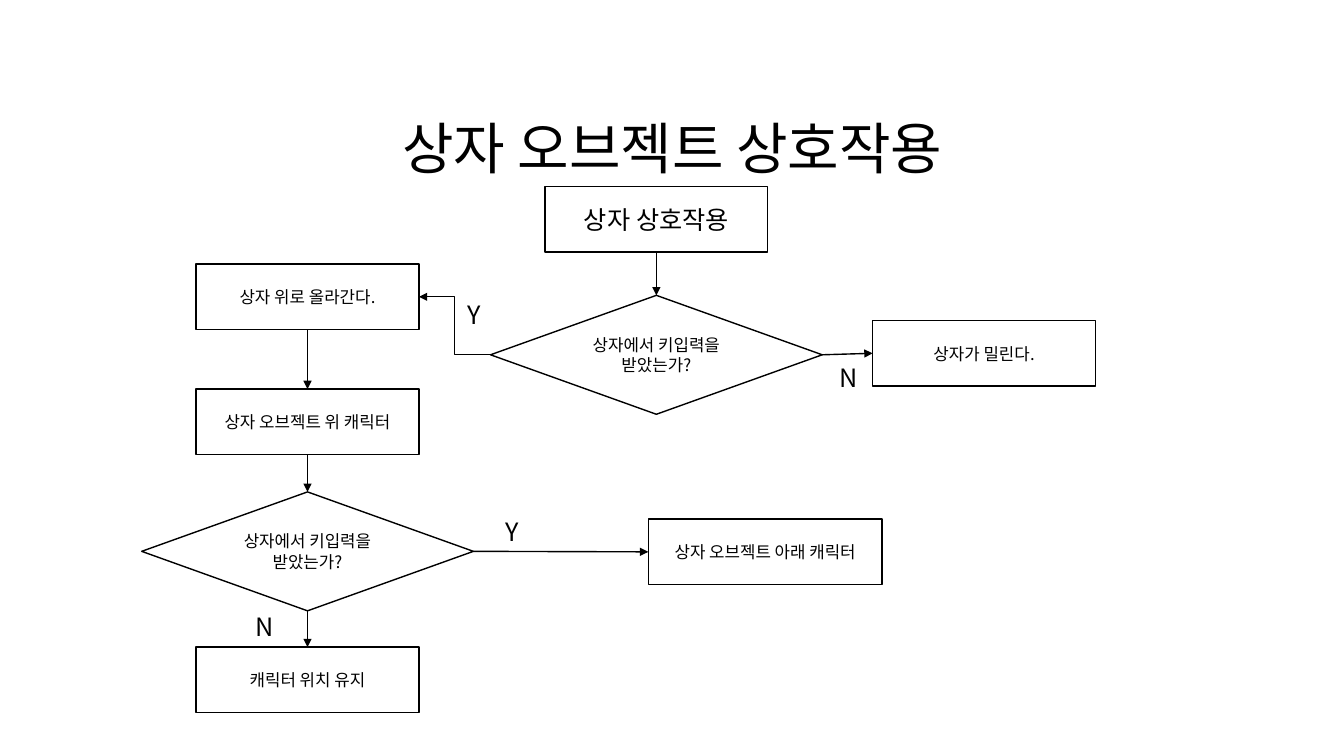
from lxml import etree
from pptx import Presentation
from pptx.dml.color import RGBColor
from pptx.enum.shapes import MSO_CONNECTOR, MSO_SHAPE
from pptx.enum.text import MSO_ANCHOR, MSO_AUTO_SIZE, PP_ALIGN
from pptx.oxml.ns import qn
from pptx.util import Inches, Pt

RECT, DIAMOND = MSO_SHAPE.RECTANGLE, MSO_SHAPE.DIAMOND
STRAIGHT, ELBOW = MSO_CONNECTOR.STRAIGHT, MSO_CONNECTOR.ELBOW
LEFT, CENTER = PP_ALIGN.LEFT, PP_ALIGN.CENTER
TOP, MIDDLE, BOTTOM = MSO_ANCHOR.TOP, MSO_ANCHOR.MIDDLE, MSO_ANCHOR.BOTTOM
SIDE_TOP, SIDE_LEFT, SIDE_BOTTOM, SIDE_RIGHT = range(4)

FONT = "Noto Sans CJK KR"
COLORS = {"ink": "000000", "paper": "FFFFFF"}
TITLE_BOX = (0.92, 0.4, 11.5, 1.45)
FLOW_BOX = (1.4, 1.85)

# Flow columns (centre lines) and node sizes, in inches from the flow's corner
COLS = {"left": 1.65, "main": 5.11, "below": 6.19, "right": 8.36}
SIZES = {RECT: (2.21, 0.65), DIAMOND: (3.29, 1.18)}
WIDE = 2.32

# name: shape, column, top, text, format
NODES = {
    "start": (RECT, "main", 0, "상자 상호작용", {"size": Pt(18)}),
    "key": (DIAMOND, "main", 1.08, "상자에서 키입력을 받았는가?", {}),
    "pushed": (RECT, "right", 1.33, "상자가 밀린다.", {}),
    "climb": (RECT, "left", 0.77, "상자 위로 올라간다.", {}),
    "on_box": (RECT, "left", 2.01, "상자 오브젝트 위 캐릭터", {}),
    "key_on_box": (DIAMOND, "left", 3.03, "상자에서 키입력을 받았는가?", {}),
    "under_box": (RECT, "below", 3.3, "상자 오브젝트 아래 캐릭터", {}),
    "stay": (RECT, "left", 4.57, "캐릭터 위치 유지", {}),
}

# from, side, to, side, kind, line width
LINKS = [
    ("start", SIDE_BOTTOM, "key", SIDE_TOP, STRAIGHT, 1),
    ("key", SIDE_RIGHT, "pushed", SIDE_LEFT, STRAIGHT, 1),
    ("key", SIDE_LEFT, "climb", SIDE_RIGHT, ELBOW, 0.5),
    ("climb", SIDE_BOTTOM, "on_box", SIDE_TOP, STRAIGHT, 1),
    ("on_box", SIDE_BOTTOM, "key_on_box", SIDE_TOP, STRAIGHT, 1),
    ("key_on_box", SIDE_RIGHT, "under_box", SIDE_LEFT, STRAIGHT, 1),
    ("key_on_box", SIDE_BOTTOM, "stay", SIDE_TOP, STRAIGHT, 1),
]

LABELS = [("Y", 3.14, 1.07), ("N", 6.83, 1.7), ("Y", 3.52, 3.22), ("N", 1.04, 4.17)]


def rgb(name):
    return RGBColor.from_string(COLORS[name])


def write(shape, text, align=CENTER, anchor=MIDDLE, **fmt):
    tf = shape.text_frame
    tf.word_wrap = True
    tf.vertical_anchor = anchor
    p = tf.paragraphs[0]
    p.alignment = align
    r = p.add_run()
    r.text = text
    for name, value in {"size": Pt(12), "name": FONT, **fmt}.items():
        setattr(r.font, name, value)
    r.font.color.rgb = rgb("ink")
    # East Asian typeface for the Korean text
    etree.SubElement(r.font._element, qn("a:ea"), typeface=FONT)
    return tf


def add_title(s, box):
    title = s.shapes.add_textbox(*map(Inches, box))
    tf = write(title, "상자 오브젝트 상호작용", anchor=BOTTOM, size=Pt(40))
    tf.paragraphs[0].line_spacing = 0.9


def add_node(s, origin, kind, col, top, text, fmt):
    w, h = SIZES[kind]
    if col == "below":
        w = WIDE
    box = (origin[0] + COLS[col] - w / 2, origin[1] + top, w, h)
    node = s.shapes.add_shape(kind, *map(Inches, box))
    node.shadow.inherit = False
    node.fill.background()
    node.line.color.rgb = rgb("ink")
    node.line.width = Pt(1)
    write(node, text, **fmt)
    return node


def add_link(s, start, start_side, end, end_side, kind, width):
    link = s.shapes.add_connector(kind, 0, 0, 0, 0)
    link.begin_connect(start, start_side)
    link.end_connect(end, end_side)
    link.line.color.rgb = rgb("ink")
    link.line.width = Pt(width)
    etree.SubElement(link.line._get_or_add_ln(), qn("a:tailEnd"), type="triangle")
    etree.SubElement(link._element.spPr, qn("a:effectLst"))


def add_label(s, origin, text, x, y):
    box = (origin[0] + x, origin[1] + y, 0.35, 0.4)
    label = s.shapes.add_textbox(*map(Inches, box))
    tf = write(label, text, align=LEFT, anchor=TOP, size=Pt(18))
    tf.auto_size = MSO_AUTO_SIZE.SHAPE_TO_FIT_TEXT


def add_flow(s, origin):
    # Steps and decisions
    nodes = {name: add_node(s, origin, *node) for name, node in NODES.items()}
    # Arrows
    for start, start_side, end, end_side, kind, width in LINKS:
        add_link(s, nodes[start], start_side, nodes[end], end_side, kind, width)
    # Branch labels
    for label in LABELS:
        add_label(s, origin, *label)


def main():
    prs = Presentation()
    prs.slide_width, prs.slide_height = Inches(13.33), Inches(7.5)
    s = prs.slides.add_slide(prs.slide_layouts[6])
    s.background.fill.solid()
    s.background.fill.fore_color.rgb = rgb("paper")
    add_title(s, TITLE_BOX)
    add_flow(s, FLOW_BOX)
    prs.save("out.pptx")


if __name__ == "__main__":
    main()
